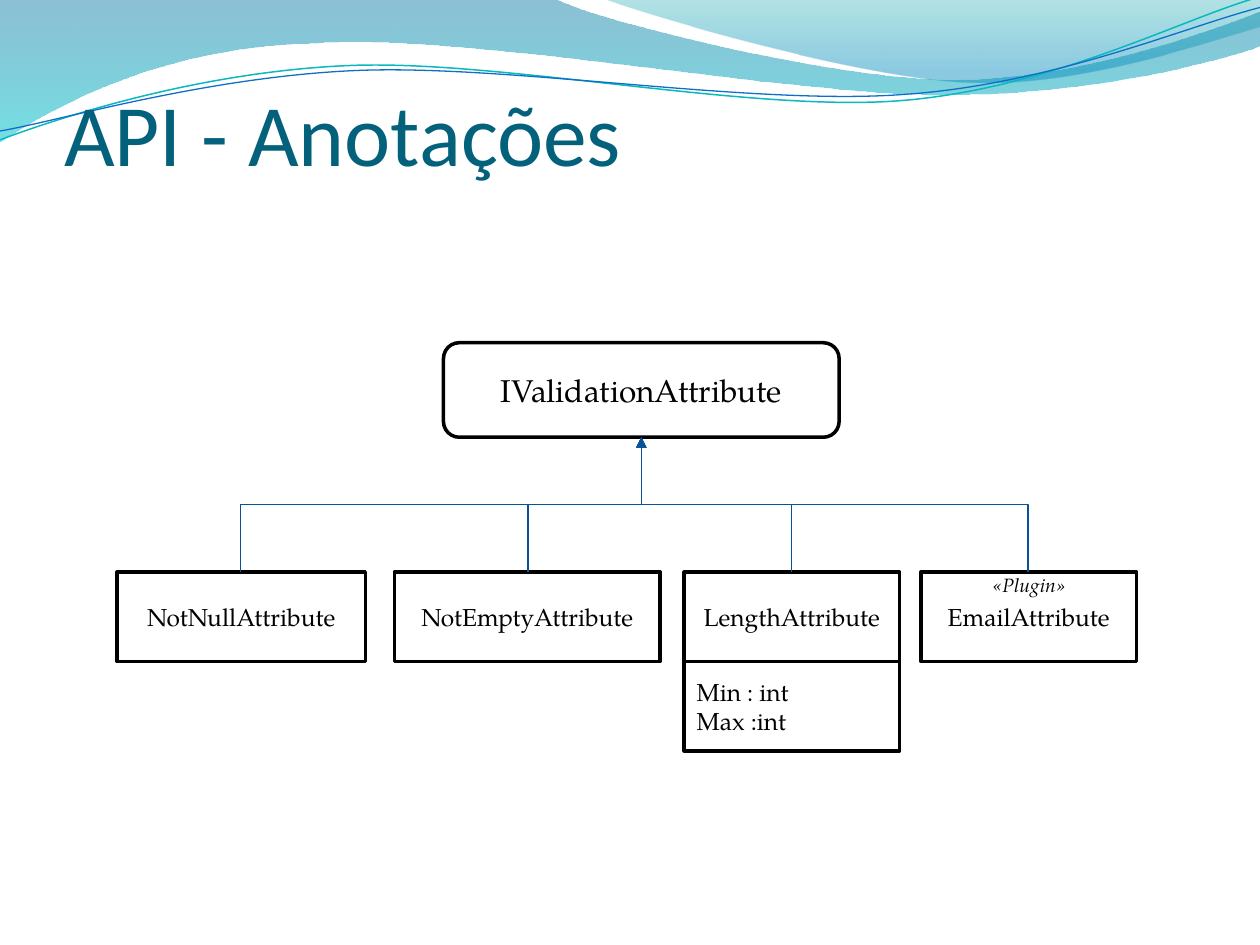
import math
from lxml import etree
from pptx import Presentation, util as u
from pptx.dml.color import RGBColor
from pptx.enum import shapes, text
from pptx.oxml.ns import qn

BLACK, WHITE = RGBColor(0, 0, 0), RGBColor(255, 255, 255)
TITLE, LINK = RGBColor(0x04, 0x61, 0x7B), RGBColor(0x09, 0x52, 0x95)
TEAL, BLUE = RGBColor(0x0A, 0xB8, 0xBF), RGBColor(0x0F, 0x6F, 0xC6)
DEEP, AQUA = RGBColor(0x00, 0x74, 0xA1), RGBColor(0x00, 0xC6, 0xCF)
GREEN, SKY = RGBColor(0x00, 0xA1, 0xA9), RGBColor(0x00, 0x8B, 0xBF)
SERIF = "TeX Gyre Pagella"

BANDS = [
    ([(0, 0), (4.4, -.01), (4.76, .17, 6.64, .63, 7.58, .63),
      (8.53, .63, 9.58, .26, 10, .09), (10.01, .36),
      (9.83, .44, 8.7, .76, 7.46, .75), (6.22, .75, 3.82, .28, 2.57, .34),
      (1.29, .36, .46, .83, -.01, 1.13)], [(0, DEEP, 45), (1, AQUA, 55)]),
    ([(4.79, -.01), (5.09, .11, 6.82, .62, 7.69, .65),
      (8.56, .69, 9.61, .32, 10, .21), (10, 0)],
     [(0, GREEN, 30), (.8, SKY, 45)]),
]
TILT = 2.7
WAVES = [
    ([(0, 1.11), (.48, .93, 1.58, .57, 2.77, .52),
      (3.95, .47, 5.93, .89, 7.13, .8), (8.33, .71, 9.38, .15, 9.98, -.02)],
     (4.99, .58), TEAL, .85),
    ([(0, 1.04), (.47, .96, 1.64, .61, 2.83, .56),
      (4.03, .51, 5.97, .84, 7.17, .75), (8.36, .67, 9.41, .21, 10, .06)],
     (5, .59), BLUE, .75),
]
ROOT = ("IValidationAttribute", 3.52, 2.72, 3.14, .75)
CHILDREN = [("NotNullAttribute", .93, 1.97, 1.91),
            ("NotEmptyAttribute", 3.13, 2.11, 4.19),
            ("EmailAttribute", 7.31, 1.71, 8.16),
            ("LengthAttribute", 5.43, 1.71, 6.28)]
FIELDS = "Min : int\nMax :int "
ROW_Y, ROW_H = 4.54, .71


def turn(pt, center, degrees):
    a = math.radians(degrees)
    dx, dy = pt[0] - center[0], pt[1] - center[1]
    return (center[0] + dx * math.cos(a) - dy * math.sin(a),
            center[1] + dx * math.sin(a) + dy * math.cos(a))


def freeform(parent, steps, close, center=(0, 0), tilt=0):
    pts = [turn(step[i:i + 2], center, tilt)
           for step in steps for i in range(0, len(step), 2)]
    pts = [(u.Inches(x), u.Inches(y)) for x, y in pts]
    fb = parent.build_freeform(*pts[0])
    fb.add_line_segments(pts[1:], close=close)
    sp = fb.convert_to_shape()
    sp.rotation = -tilt
    sp.shadow.inherit = False
    lines = iter(list(sp._element.iter(qn("a:lnTo"))))
    for step in steps[1:]:
        first = next(lines)
        if len(step) == 6:
            first.tag = qn("a:cubicBezTo")
            for _ in range(2):
                extra = next(lines)
                first.append(extra[0])
                extra.getparent().remove(extra)
    return sp


def write(tf, words, align=None, **fmt):
    tf.text = words
    for p in tf.paragraphs:
        p.alignment = align
        for r in p.runs:
            r.font.color.rgb = fmt.get("color", BLACK)
            for key in ("name", "size", "italic"):
                if key in fmt:
                    setattr(r.font, key, fmt[key])


def box(parent, words, x, y, w, h, size=14, kind=shapes.MSO_SHAPE.RECTANGLE,
        align=text.PP_ALIGN.CENTER):
    sp = parent.add_shape(kind, *map(u.Inches, (x, y, w, h)))
    sp.shadow.inherit = False
    sp.fill.solid()
    sp.fill.fore_color.rgb = WHITE
    sp.line.color.rgb = BLACK
    sp.line.width = u.Pt(2)
    sp.text_frame.vertical_anchor = text.MSO_ANCHOR.MIDDLE
    write(sp.text_frame, words, align, name=SERIF, size=u.Pt(size))


def link(x1, y1, x2, y2):
    side = 1 if x1 < x2 else -1
    cx, cy = (x1 + x2) / 2, (y1 + y2) / 2
    dx, dy = side * (y1 - y2) / 2, abs(x2 - x1) / 2
    cn = s.shapes.add_connector(
        shapes.MSO_CONNECTOR.ELBOW,
        *map(u.Inches, (cx + dx, cy + dy, cx - dx, cy - dy)))
    cn.line.color.rgb = LINK
    cn.line.width = u.Pt(.75)
    pr = cn._element.spPr
    pr.find(qn("a:xfrm")).set("rot", str((90 if side > 0 else 270) * 60000))
    etree.SubElement(pr.find(qn("a:ln")), qn("a:tailEnd"), type="triangle")
    etree.SubElement(pr, qn("a:effectLst"))


prs = Presentation()
prs.slide_width, prs.slide_height = u.Inches(10), u.Inches(7.5)
s = prs.slides.add_slide(prs.slide_layouts[5])

for steps, stops in BANDS:
    sp = freeform(s.shapes, steps, True)
    sp.line.fill.background()
    sp.fill.gradient()
    sp.fill.gradient_angle = 270
    for stop, (pos, color, _) in zip(sp.fill.gradient_stops, stops):
        stop.position = pos
        stop.color.rgb = color
    for clr, (_, _, opacity) in zip(sp._element.spPr.iter(qn("a:srgbClr")), stops):
        etree.SubElement(clr, qn("a:alpha"), val=str(opacity * 1000))
waves = s.shapes.add_group_shape()
for steps, center, color, width in WAVES:
    sp = freeform(waves.shapes, steps, False, center, TILT)
    sp.fill.background()
    sp.line.color.rgb = color
    sp.line.width = u.Pt(width)

title = s.shapes.title
s.shapes._spTree.append(title._element)
for key, val in dict(left=.51, top=.21, width=9, height=1.25).items():
    setattr(title, key, u.Inches(val))
tf = title.text_frame
for key, val in dict(margin_left=0, margin_right=0, margin_bottom=0,
                     margin_top=u.Inches(.05), auto_size=text.MSO_AUTO_SIZE.NONE,
                     vertical_anchor=text.MSO_ANCHOR.BOTTOM).items():
    setattr(tf, key, val)
write(tf, "API - Anotações", text.PP_ALIGN.LEFT,
      name="Calibri", size=u.Pt(50), color=TITLE)

_, x, y, w, h = ROOT
box(s.shapes, *ROOT, size=18, kind=shapes.MSO_SHAPE.ROUNDED_RECTANGLE)
length = s.shapes.add_group_shape()
for child, cx, cw, mid in CHILDREN:
    parent = length if child == "LengthAttribute" else s
    box(parent.shapes, child, cx, ROW_Y, cw, ROW_H)
    link(mid, ROW_Y, x + w / 2, y + h)
_, length_x, length_w, _ = CHILDREN[-1]
box(length.shapes, FIELDS, length_x, ROW_Y + ROW_H, length_w, ROW_H,
    align=text.PP_ALIGN.LEFT)

tb = s.shapes.add_textbox(*map(u.Inches, (7.78, 4.5, .78, .29)))
tb.text_frame.word_wrap = False
tb.text_frame.auto_size = text.MSO_AUTO_SIZE.SHAPE_TO_FIT_TEXT
write(tb.text_frame, "«Plugin»", name=SERIF, size=u.Pt(11), italic=True)

prs.save("out.pptx")
